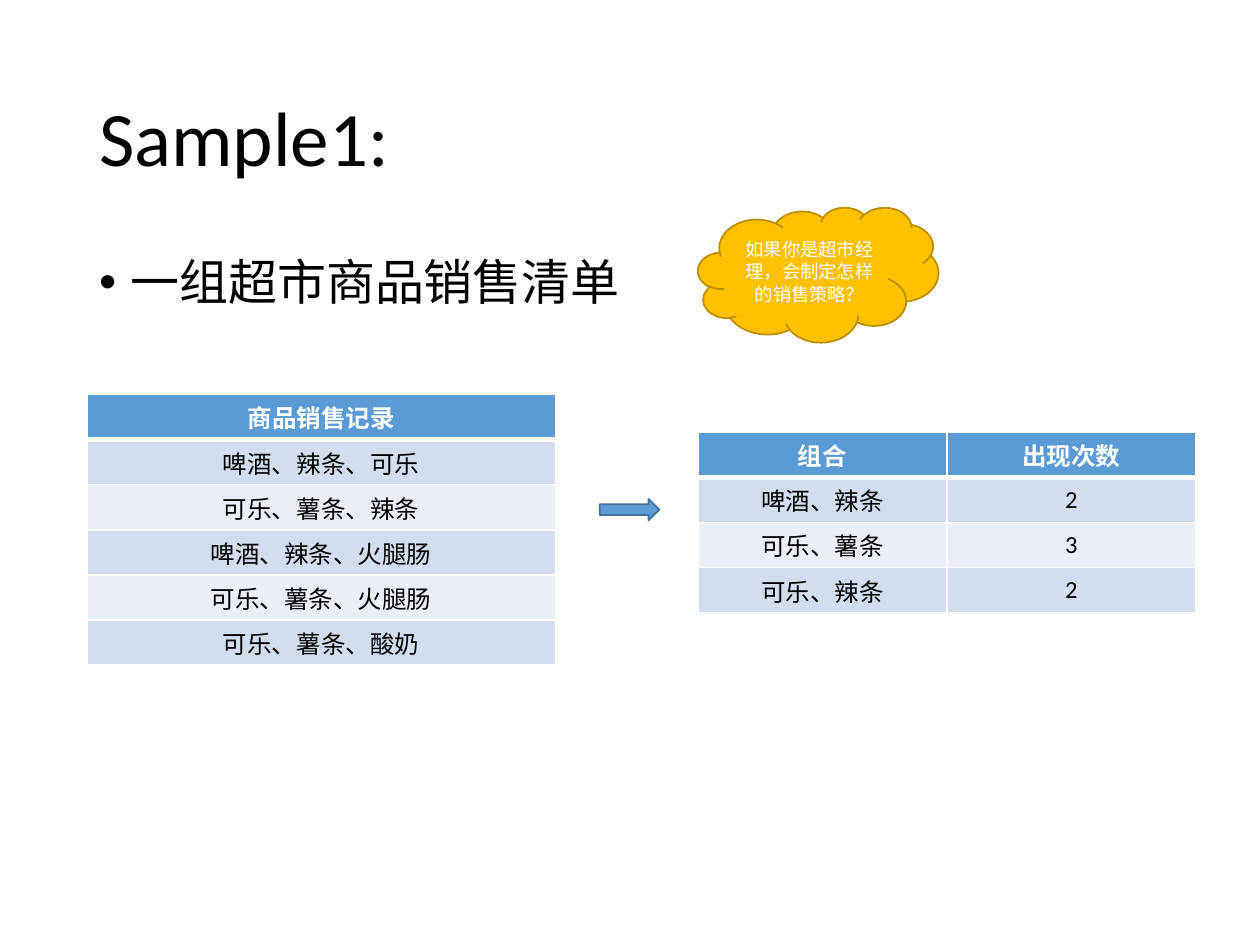
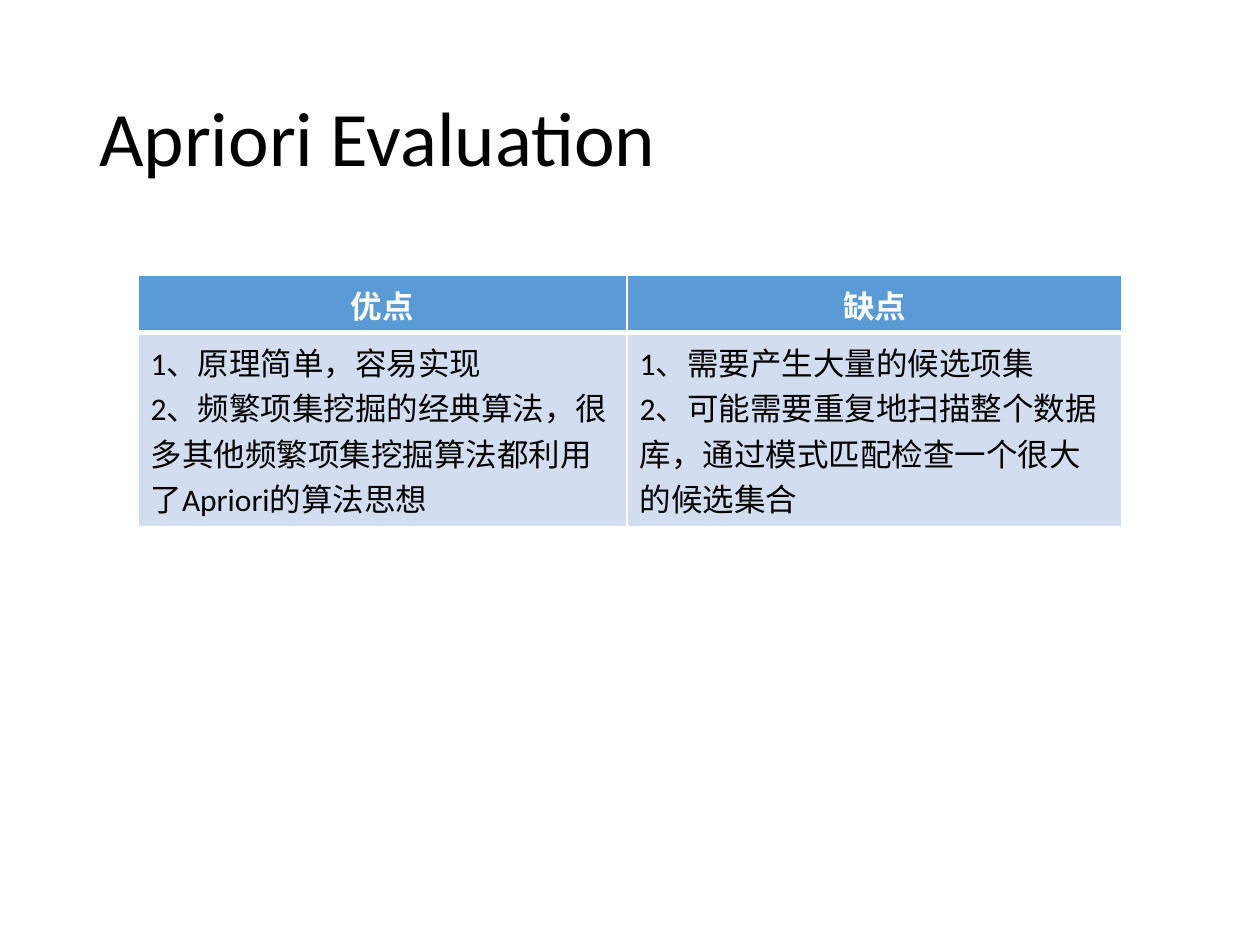
from dataclasses import dataclass

from lxml.etree import SubElement
from pptx import Presentation
from pptx.dml.color import RGBColor as Rgb
from pptx.enum.shapes import MSO_SHAPE as Shape
from pptx.enum.text import MSO_ANCHOR as Anchor, PP_ALIGN as Align
from pptx.oxml.ns import qn
from pptx.util import Cm, Pt


@dataclass(frozen=True)
class Theme:
    font: str = "Calibri"
    text: str = "000000"
    light: str = "FFFFFF"
    accent: str = "5B9BD5"
    accent_line: str = "43739E"
    cloud: str = "FFC000"
    cloud_line: str = "BD8E00"
    bands: tuple = ("D2DEEF", "EAEFF7")
    title_size: float = 44
    body_size: float = 28
    criteria_size: float = 18
    table_size: float = 14
    cloud_size: float = 10.5
    grid: float = 1
    header_rule: float = 3


THEME = Theme()
CONTENT_LEFT, CONTENT_WIDTH = Cm(1.75), Cm(21.89)
RIGHT_COLUMN = Cm(14.07)
TIGHT_X, TIGHT_Y = Cm(0.18), Cm(0.1)


def style_text(frame, size, color, align=Align.LEFT, bold=False):
    for paragraph in frame.paragraphs:
        paragraph.alignment = align
        for run in paragraph.runs:
            font = run.font
            font.name, font.size, font.bold = THEME.font, Pt(size), bold
            font.color.rgb = Rgb.from_string(color)


def tighten(target):
    """Give a cell or text frame the narrow margins."""
    target.margin_left = target.margin_right = TIGHT_X
    target.margin_top = target.margin_bottom = TIGHT_Y


def add_text(slide, text, top, height, size, anchor):
    frame = slide.shapes.add_textbox(CONTENT_LEFT, top, CONTENT_WIDTH, height).text_frame
    frame.word_wrap = True
    frame.vertical_anchor = anchor
    frame.text = text
    style_text(frame, size, THEME.text)
    frame.paragraphs[0].line_spacing = 0.9
    return frame.paragraphs[0]


def add_title(slide, text):
    add_text(slide, text, Cm(1.02), Cm(3.68), THEME.title_size, Anchor.MIDDLE)


def add_bullet(slide, text):
    bullet = add_text(slide, text, Cm(5.08), Cm(12.09), THEME.body_size, Anchor.TOP)
    bullet.space_before = Pt(10)
    properties = bullet._p.get_or_add_pPr()
    indent = Cm(0.63)
    properties.set("marL", str(indent))
    properties.set("indent", str(-indent))
    SubElement(properties, qn("a:buFont"), typeface="Arial")
    SubElement(properties, qn("a:buChar"), char="•")


def add_figure(slide, kind, left, top, width, height, fill, line):
    figure = slide.shapes.add_shape(kind, left, top, width, height)
    figure.shadow.inherit = False
    figure.fill.solid()
    figure.fill.fore_color.rgb = Rgb.from_string(fill)
    figure.line.color.rgb = Rgb.from_string(line)
    figure.line.width = Pt(1)
    return figure


def add_cloud(slide, text):
    cloud = add_figure(slide, Shape.CLOUD, RIGHT_COLUMN, Cm(4.18), Cm(4.85), Cm(2.72),
                       THEME.cloud, THEME.cloud_line)
    frame = cloud.text_frame
    frame.word_wrap = True
    frame.vertical_anchor = Anchor.MIDDLE
    tighten(frame)
    frame.text = text
    style_text(frame, THEME.cloud_size, THEME.light, Align.CENTER)


def set_borders(cell, top, bottom):
    properties = cell._tc.get_or_add_tcPr()
    widths = {"L": THEME.grid, "R": THEME.grid, "T": top, "B": bottom}
    for side, width in widths.items():
        border = SubElement(properties, qn(f"a:ln{side}"), w=str(Pt(width)))
        SubElement(SubElement(border, qn("a:solidFill")), qn("a:srgbClr"), val=THEME.light)


def add_banded_table(slide, rows, left, top, widths, heights, size, compact=True):
    """Compact tables are centred with narrow margins; others hold running text."""
    table = slide.shapes.add_table(len(rows), len(widths), left, top,
                                   sum(widths), sum(heights)).table
    for column, width in zip(table.columns, widths):
        column.width = width
    for index, (texts, height) in enumerate(zip(rows, heights)):
        table.rows[index].height = height
        header = index == 0
        fill = THEME.accent if header else THEME.bands[(index - 1) % 2]
        for column, text in enumerate(texts):
            cell = table.cell(index, column)
            set_borders(cell,
                        top=THEME.header_rule if index == 1 else THEME.grid,
                        bottom=THEME.header_rule if header else THEME.grid)
            cell.fill.solid()
            cell.fill.fore_color.rgb = Rgb.from_string(fill)
            if compact:
                cell.vertical_anchor = Anchor.MIDDLE
                tighten(cell)
            cell.text_frame.text = text
            style_text(cell.text_frame, size, THEME.light if header else THEME.text,
                       Align.CENTER if header or compact else Align.LEFT, bold=header)


def build_sample(slide):
    add_title(slide, "Sample1:")
    add_bullet(slide, "一组超市商品销售清单")

    # Sales records
    records = ["商品销售记录", "啤酒、辣条、可乐", "可乐、薯条、辣条",
               "啤酒、辣条、火腿肠", "可乐、薯条、火腿肠", "可乐、薯条、酸奶"]
    row_height = Cm(0.91)
    add_banded_table(slide, [[record] for record in records], CONTENT_LEFT, Cm(7.95),
                     [Cm(9.45)], [row_height] * len(records), THEME.table_size)

    # Question and arrow to the counts
    add_cloud(slide, "如果你是超市经理，会制定怎样的销售策略？")
    add_figure(slide, Shape.RIGHT_ARROW, Cm(12.09), Cm(10.06), Cm(1.2), Cm(0.43),
               THEME.accent, THEME.accent_line)

    # Counts of combinations
    counts = [("组合", "出现次数"), ("啤酒、辣条", "2"),
              ("可乐、薯条", "3"), ("可乐、辣条", "2")]
    add_banded_table(slide, counts, RIGHT_COLUMN, Cm(8.71),
                     [Cm(5.02)] * 2, [row_height] * len(counts), THEME.table_size)


def build_evaluation(slide):
    add_title(slide, "Apriori Evaluation")

    # Strengths and weaknesses
    strengths = "1、原理简单，容易实现\n2、频繁项集挖掘的经典算法，很多其他频繁项集挖掘算法都利用了Apriori的算法思想"
    weaknesses = "1、需要产生大量的候选项集\n2、可能需要重复地扫描整个数据库，通过模式匹配检查一个很大的候选集合"
    add_banded_table(slide, [("优点", "缺点"), (strengths, weaknesses)], Cm(2.78), Cm(5.55),
                     [Cm(9.86), Cm(9.98)], [Cm(1.15), Cm(3.91)],
                     THEME.criteria_size, compact=False)


def main():
    deck = Presentation()
    deck.slide_width, deck.slide_height = Cm(25.4), Cm(19.05)
    blank = deck.slide_layouts[6]
    for build in (build_sample, build_evaluation):
        build(deck.slides.add_slide(blank))
    deck.save("out.pptx")


if __name__ == "__main__":
    main()
